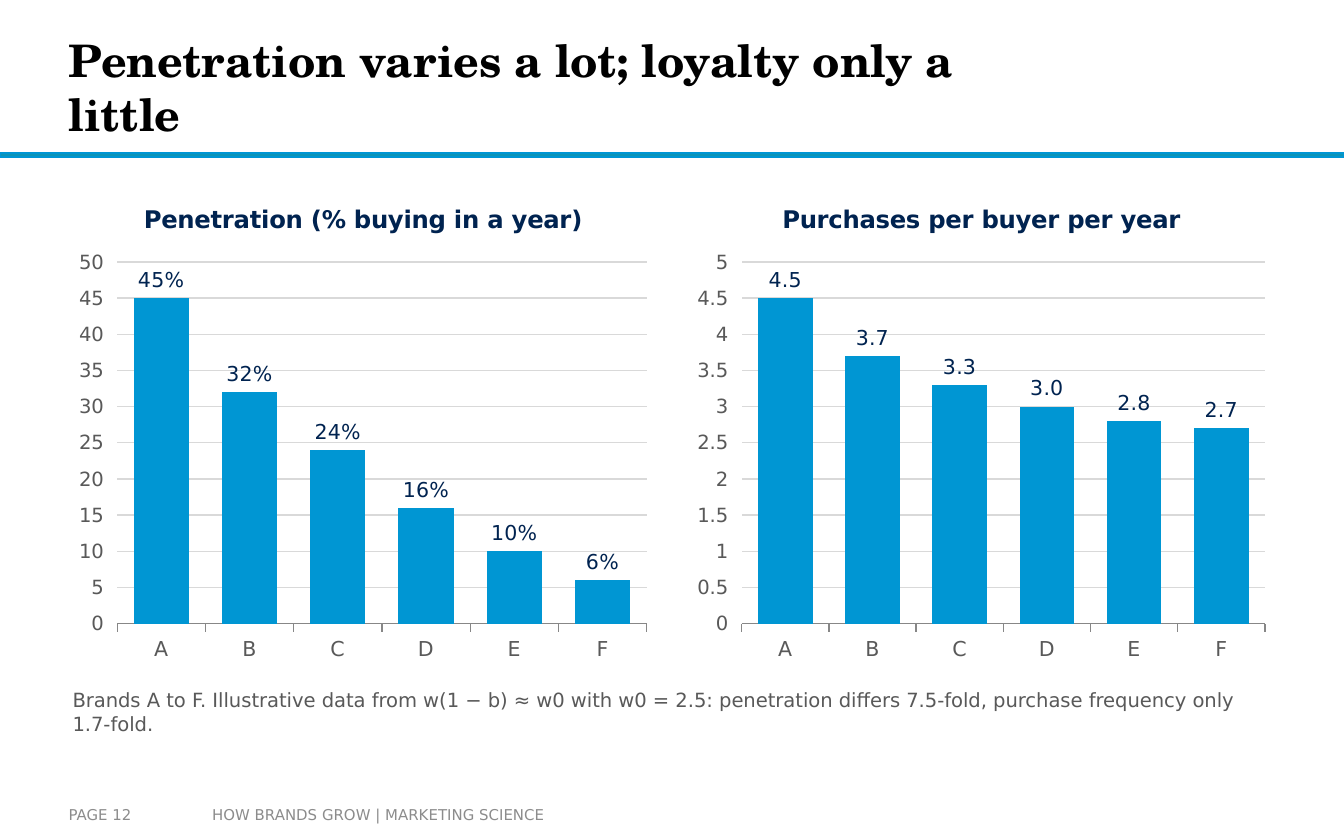
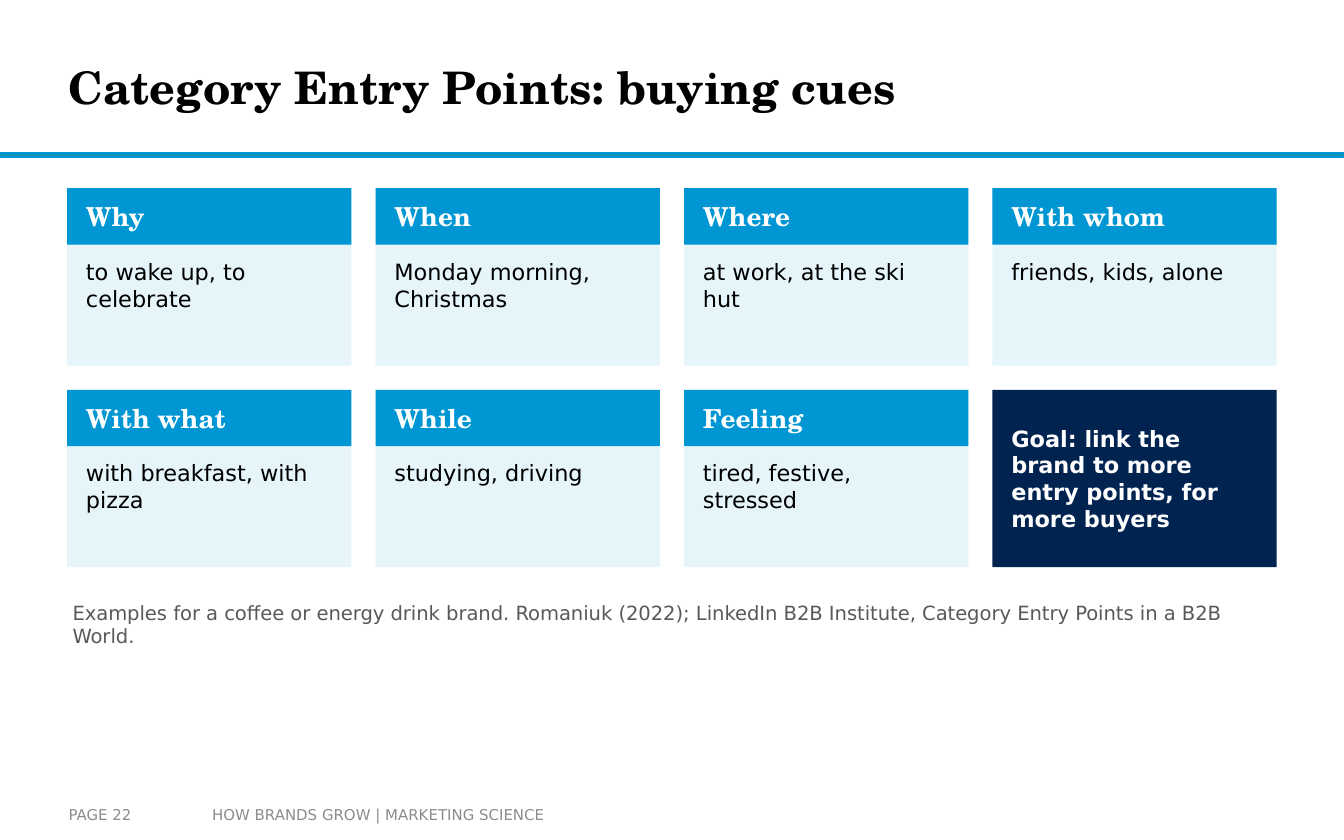
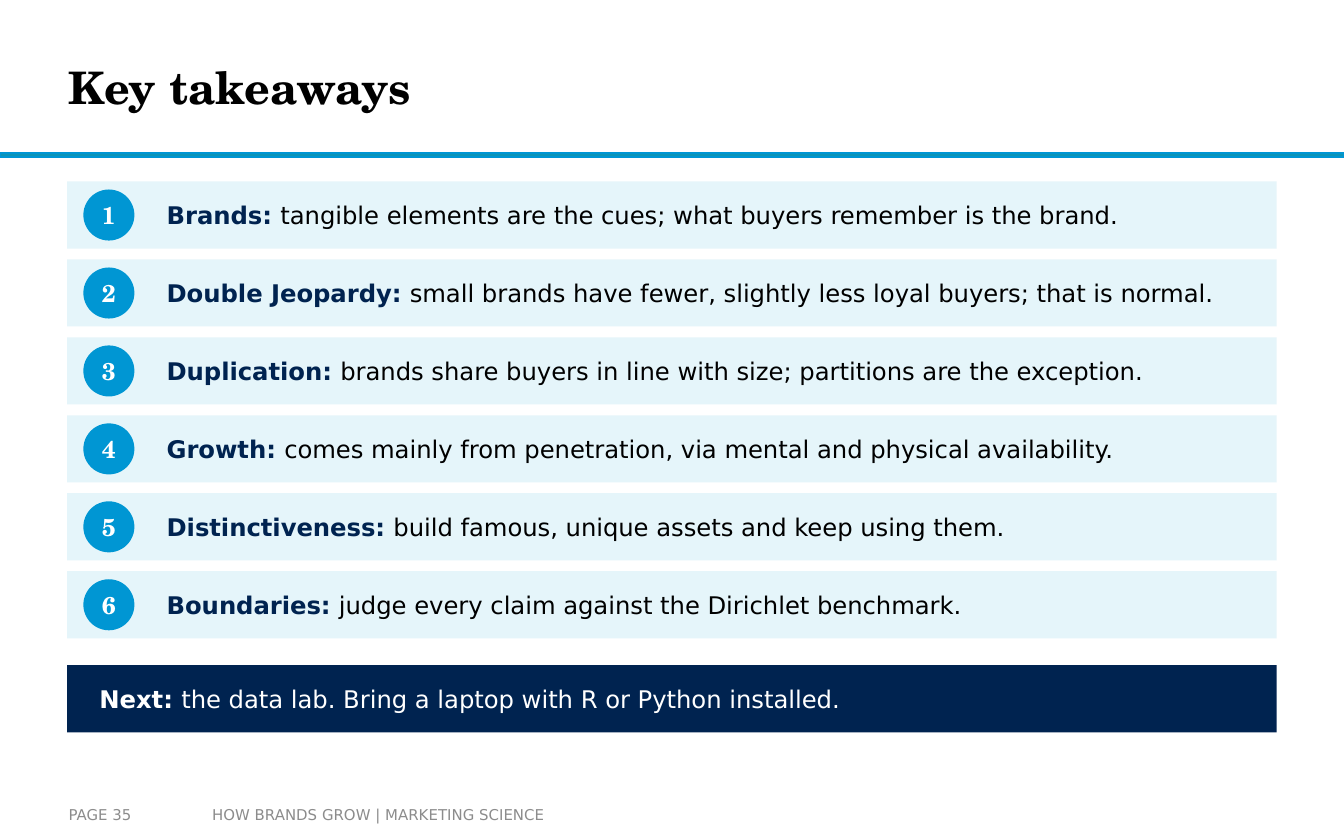
"""Build three slides of a marketing science lecture on how brands grow."""
from pptx import Presentation
from pptx.chart.data import CategoryChartData
from pptx.dml.color import RGBColor
from pptx.enum.chart import XL_CHART_TYPE, XL_LABEL_POSITION
from pptx.enum.shapes import MSO_SHAPE
from pptx.enum.text import MSO_ANCHOR, MSO_AUTO_SIZE, PP_ALIGN
from pptx.util import Inches, Pt

RECTANGLE, CIRCLE = MSO_SHAPE.RECTANGLE, MSO_SHAPE.OVAL
TOP, MIDDLE = MSO_ANCHOR.TOP, MSO_ANCHOR.MIDDLE
GROW, FIXED = MSO_AUTO_SIZE.SHAPE_TO_FIT_TEXT, MSO_AUTO_SIZE.NONE
LEFT, CENTER = PP_ALIGN.LEFT, PP_ALIGN.CENTER
COLUMN_CHART = XL_CHART_TYPE.COLUMN_CLUSTERED
OUTSIDE_END = XL_LABEL_POSITION.OUTSIDE_END

BLACK = RGBColor(0x00, 0x00, 0x00)
WHITE = RGBColor(0xFF, 0xFF, 0xFF)
BLUE = RGBColor(0x00, 0x96, 0xD3)
TEAL = RGBColor(0x0C, 0x94, 0xB7)
NAVY = RGBColor(0x00, 0x23, 0x50)
PALE = RGBColor(0xE5, 0xF5, 0xFA)
SLATE = RGBColor(0x59, 0x59, 0x59)
GREY = RGBColor(0x8C, 0x8C, 0x8C)
GRID_GREY = RGBColor(0xD9, 0xD9, 0xD9)

SANS, SERIF = "DejaVu Sans", "TeX Gyre Schola"
COLUMNS, ROWS = 100, 62.5
MARGIN, CONTENT = 5, 90
BLANK_LAYOUT = 6

BRANDS = "ABCDEF"
PENETRATION = (45, 32, 24, 16, 10, 6)
PURCHASES = (4.5, 3.7, 3.3, 3.0, 2.8, 2.7)

ENTRY_POINTS = (
    ("Why", "to wake up, to celebrate"),
    ("When", "Monday morning, Christmas"),
    ("Where", "at work, at the ski hut"),
    ("With whom", "friends, kids, alone"),
    ("With what", "with breakfast, with pizza"),
    ("While", "studying, driving"),
    ("Feeling", "tired, festive, stressed"),
)
GOAL = "Goal: link the brand to more entry points, for more buyers"

TAKEAWAYS = (
    ("Brands: ", "tangible elements are the cues; what buyers remember is the brand."),
    ("Double Jeopardy: ", "small brands have fewer, slightly less loyal buyers; that is normal."),
    ("Duplication: ", "brands share buyers in line with size; partitions are the exception."),
    ("Growth: ", "comes mainly from penetration, via mental and physical availability."),
    ("Distinctiveness: ", "build famous, unique assets and keep using them."),
    ("Boundaries: ", "judge every claim against the Dirichlet benchmark."),
)


def style_font(font, size, color, bold=None, name=SANS):
    """Set the look of a font."""
    font.name, font.size, font.bold = name, Pt(size), bold
    font.color.rgb = color


class Deck:
    """Hold the style and the current slide, placed on a grid of columns and rows."""

    def __init__(self):
        """Start an empty presentation."""
        self.show = Presentation()
        self.show.slide_width, self.show.slide_height = Inches(10), Inches(6.25)
        self.slide = None

    def across(self, columns):
        """Turn columns into a length."""
        return round(self.show.slide_width * columns / COLUMNS)

    def down(self, rows):
        """Turn rows into a length."""
        return round(self.show.slide_height * rows / ROWS)

    def place(self, x, y, width, height):
        """Turn a grid area into lengths."""
        return self.across(x), self.down(y), self.across(width), self.down(height)

    def new_slide(self, title, page):
        """Add a slide with its title, rule and footer."""
        self.slide = self.show.slides.add_slide(self.show.slide_layouts[BLANK_LAYOUT])
        rule = self.block(0, 11.4, COLUMNS, 0.3, TEAL)
        rule.line.color.rgb, rule.line.width = BLUE, Pt(1)
        self.text(5.1, 1.5, 74.8, 9.9, title, 24, bold=True, name=SERIF,
                  inset=(0, 0), sizing=FIXED)
        self.text(14.8, 59.2, 35.2, 2.8, "HOW BRANDS GROW | MARKETING SCIENCE",
                  8, GREY, inset=(1, 0.5), sizing=FIXED)
        self.text(5.1, 59.2, 9.8, 2.8, f"PAGE {page}", 8, GREY,
                  inset=(0, 0.5), sizing=FIXED)

    def block(self, x, y, width, height, fill, outline=RECTANGLE):
        """Add a plain filled shape."""
        shape = self.slide.shapes.add_shape(outline, *self.place(x, y, width, height))
        shape.shadow.inherit = False
        shape.fill.solid()
        shape.fill.fore_color.rgb = fill
        shape.line.fill.background()
        return shape

    def fill_frame(self, frame, body, size, color=BLACK, bold=None, name=SANS, lead="",
                   lead_color=NAVY, inset=(0.4, 0.2), anchor=MIDDLE, align=LEFT, after=0):
        """Put one paragraph, with an optional bold lead, into a frame."""
        frame.word_wrap, frame.vertical_anchor = True, anchor
        frame.margin_left = frame.margin_right = self.across(inset[0])
        frame.margin_top = frame.margin_bottom = self.down(inset[1])
        paragraph = frame.paragraphs[0]
        paragraph.alignment, paragraph.space_after = align, Pt(after)
        style_font(paragraph.font, size, color, bold, name)
        if lead:
            opening = paragraph.add_run()
            opening.text = lead
            opening.font.bold = True
            opening.font.color.rgb = lead_color
        paragraph.add_run().text = body

    def text(self, x, y, width, height, body, size, color=BLACK, sizing=GROW, **style):
        """Add a text box."""
        box = self.slide.shapes.add_textbox(*self.place(x, y, width, height))
        self.fill_frame(box.text_frame, body, size, color, **style)
        box.text_frame.auto_size = sizing

    def note(self, y, body):
        """Add the small remark under the content."""
        self.text(MARGIN, y, CONTENT, 3.5, body, 10.5, SLATE, anchor=TOP)

    def badge(self, x, y, size, number):
        """Add a numbered circle."""
        circle = self.block(x, y, size, size, BLUE, CIRCLE)
        self.fill_frame(circle.text_frame, str(number), 13, WHITE, bold=True,
                        name=SERIF, inset=(0, 0), align=CENTER)

    def card(self, x, y, width, height, heading, body):
        """Add a card with a heading band."""
        band = 4.2
        self.block(x, y, width, height, PALE)
        self.block(x, y, width, band, BLUE)
        self.text(x + 1, y, width - 2, band, heading, 14, WHITE, bold=True, name=SERIF)
        self.text(x + 1, y + 5, width - 2, 8, body, 12, anchor=TOP, after=6)

    def columns(self, x, y, width, height, title, values, top, label_format):
        """Add a column chart of the brands."""
        data = CategoryChartData()
        data.categories = BRANDS
        data.add_series(title, values)
        chart = self.slide.shapes.add_chart(
            COLUMN_CHART, *self.place(x, y, width, height), data).chart
        style_font(chart.font, 18, BLACK)
        chart.has_legend = False
        heading = chart.chart_title.text_frame
        heading.text = title
        style_font(heading.paragraphs[0].font, 13, NAVY, True)
        style_font(chart.category_axis.tick_labels.font, 11, SLATE)

        scale = chart.value_axis
        style_font(scale.tick_labels.font, 10.5, SLATE)
        scale.minimum_scale, scale.maximum_scale = 0, top
        scale.major_unit = top / 10
        scale.format.line.fill.background()
        scale.major_gridlines.format.line.color.rgb = GRID_GREY
        scale.major_gridlines.format.line.width = Pt(0.75)

        plot = chart.plots[0]
        plot.gap_width, plot.vary_by_categories = 60, False
        bars = plot.series[0]
        bars.format.fill.solid()
        bars.format.fill.fore_color.rgb = BLUE
        labels = bars.data_labels
        labels.show_value, labels.position = True, OUTSIDE_END
        labels.number_format, labels.number_format_is_linked = label_format, False
        style_font(labels.font, 11, NAVY)


def penetration_slide(deck):
    """Compare penetration with purchase frequency."""
    deck.new_slide("Penetration varies a lot; loyalty only a little", 12)
    gap = 2
    width = (CONTENT - gap) / 2
    charts = (
        ("Penetration (% buying in a year)", PENETRATION, 50, '0"%"'),
        ("Purchases per buyer per year", PURCHASES, 5, "0.0"),
    )
    for index, chart in enumerate(charts):
        deck.columns(MARGIN + index * (width + gap), 13.5, width, 36.5, *chart)
    deck.note(51, "Brands A to F. Illustrative data from w(1 − b) ≈ w0 with w0 = 2.5: "
                  "penetration differs 7.5-fold, purchase frequency only 1.7-fold.")


def entry_points_slide(deck):
    """Show the buying cues as a grid of cards."""
    deck.new_slide("Category Entry Points: buying cues", 22)
    per_row, gap, height = 4, 1.8, 13.2
    width = (CONTENT - (per_row - 1) * gap) / per_row

    def corner(index):
        """Find the top left of a card."""
        row, column = divmod(index, per_row)
        return MARGIN + column * (width + gap), 14 + row * (height + gap)

    for index, entry_point in enumerate(ENTRY_POINTS):
        deck.card(*corner(index), width, height, *entry_point)
    x, y = corner(len(ENTRY_POINTS))
    deck.block(x, y, width, height, NAVY)
    deck.text(x + 1, y + 0.5, width - 2, height - 1, GOAL, 12, WHITE, bold=True, after=6)
    deck.note(44.5, "Examples for a coffee or energy drink brand. Romaniuk (2022); "
                    "LinkedIn B2B Institute, Category Entry Points in a B2B World.")


def takeaways_slide(deck):
    """List the takeaways and the next step."""
    deck.new_slide("Key takeaways", 35)
    height, pitch, badge = 5, 5.8, 3.8
    for index, (lead, body) in enumerate(TAKEAWAYS):
        y = 13.5 + index * pitch
        deck.block(MARGIN, y, CONTENT, height, PALE)
        deck.badge(MARGIN + 1.2, y + (height - badge) / 2, badge, index + 1)
        deck.text(12, y, 81.5, height, body, 13, lead=lead)
    deck.block(MARGIN, 49.5, CONTENT, height, NAVY)
    deck.text(MARGIN + 2, 49.5, CONTENT - 4, height,
              "the data lab. Bring a laptop with R or Python installed.",
              13, WHITE, lead="Next: ", lead_color=WHITE)


def main():
    """Build and save the slides."""
    deck = Deck()
    penetration_slide(deck)
    entry_points_slide(deck)
    takeaways_slide(deck)
    deck.show.save("out.pptx")


if __name__ == "__main__":
    main()
